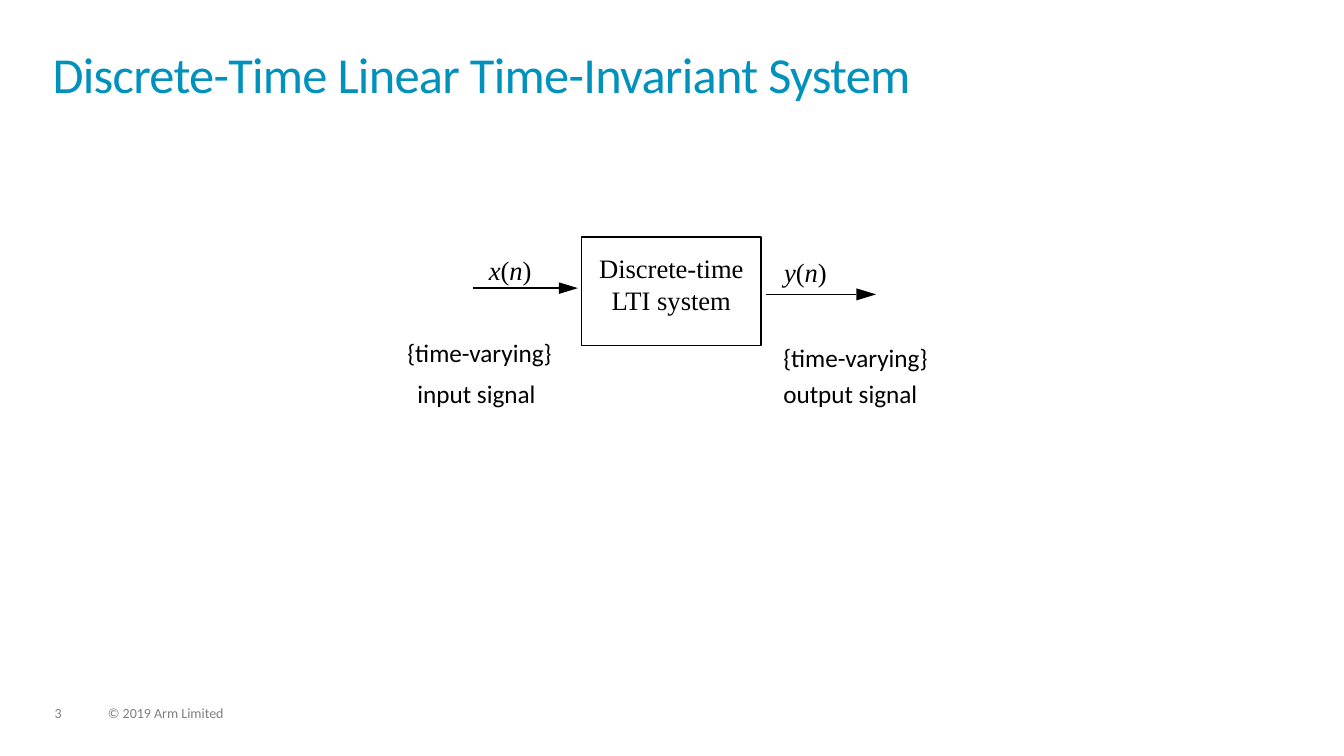
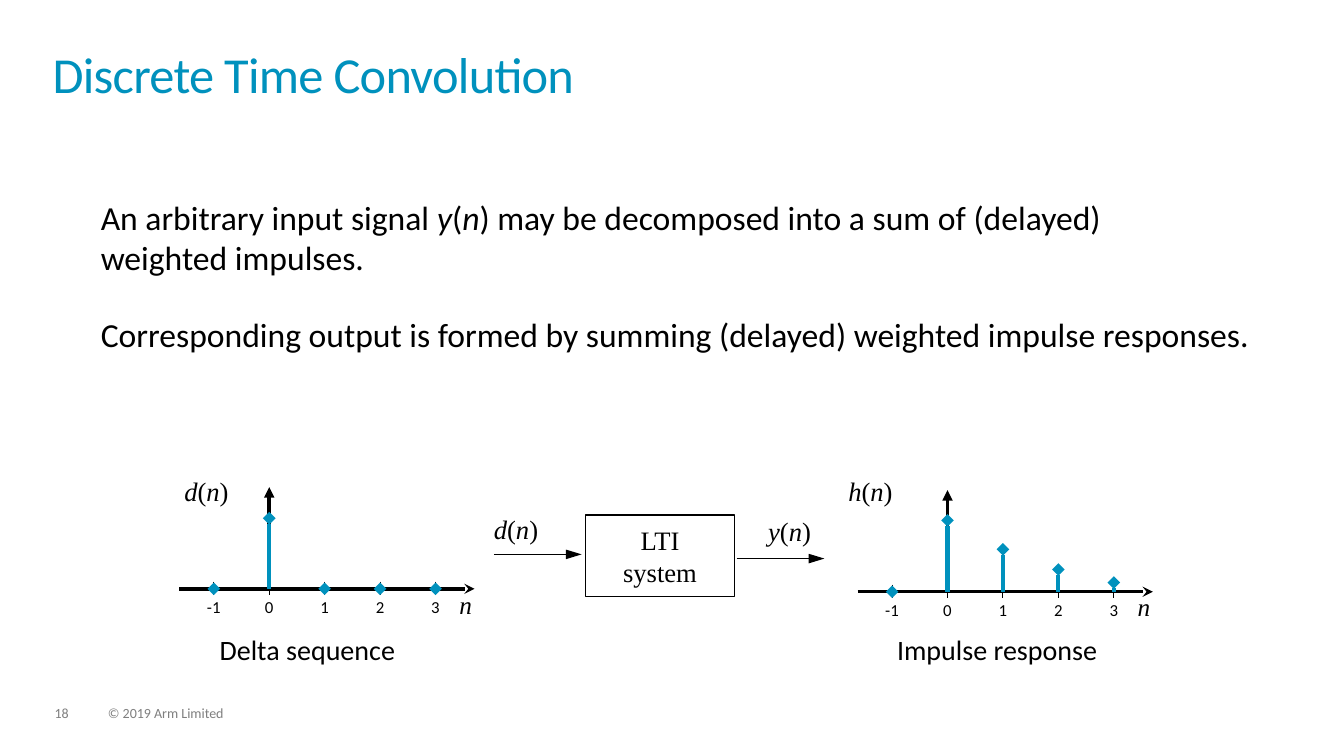
from dataclasses import dataclass

from lxml import etree
from pptx import Presentation, util as u
from pptx.dml.color import RGBColor
from pptx.enum import shapes, text
from pptx.oxml.ns import qn

# Shared look
TEAL = RGBColor(0x00, 0x91, 0xBD)
BLACK = RGBColor(0x00, 0x00, 0x00)
WHITE = RGBColor(0xFF, 0xFF, 0xFF)
GREY = RGBColor(0x7F, 0x7F, 0x7F)
SANS, SERIF = "Calibri", "Times New Roman"
COPYRIGHT = "© 2019 Arm Limited"

# All lengths below are in cells of a 32 by 18 grid of square cells
WIDTH, HEIGHT = u.Inches(13.33), u.Inches(7.5)
COLUMNS, ROWS = 32, 18


def col(cells: float) -> int:
    return round(WIDTH * cells / COLUMNS)


def row(cells: float) -> int:
    return round(HEIGHT * cells / ROWS)


@dataclass(frozen=True)
class Run:
    words: str
    italic: bool = False


@dataclass(frozen=True)
class Style:
    size: float
    font: str = SANS
    color: RGBColor = BLACK
    tracking: int = 0


@dataclass(frozen=True)
class Para:
    runs: tuple[Run, ...]
    spacing: float = 1.0
    after: float = 0
    align: text.PP_ALIGN = text.PP_ALIGN.LEFT


@dataclass(frozen=True)
class Caption:
    words: str
    left: float
    top: float


@dataclass(frozen=True)
class Flow:
    """An arrow with the name of the signal it carries."""
    signal: str
    left: float
    top: float
    length: float
    name_left: float
    name_top: float


@dataclass(frozen=True)
class System:
    lines: tuple[str, ...]
    left: float
    top: float
    width: float
    height: float
    padding: float


@dataclass(frozen=True)
class StemPlot:
    signal: str
    left: float
    axis: float
    name_left: float
    samples: tuple[float, ...]


TITLE = Style(36, color=TEAL, tracking=-50)
BODY = Style(24)
FOOTER = Style(10, color=GREY)
MATH = Style(19, SERIF)
AXIS_NAME = Style(18, SERIF)
TICK = Style(12)

# Stem plot measures
AXIS_LENGTH, AXIS_RISE = 7.03, 2.42
FIRST_TICK, TICK_STEP, FIRST_INDEX = 0.82, 1.32, -1
NAME_TOP = 11.3


# Text
def signal(name: str) -> tuple[Run, ...]:
    return Run(name, True), Run("("), Run("n", True), Run(")")


def write(frame, paras: list[Para], style: Style) -> None:
    frame.word_wrap = True
    frame.vertical_anchor = text.MSO_ANCHOR.TOP
    frame.margin_left = frame.margin_right = 0
    frame.margin_top = frame.margin_bottom = 0
    for index, item in enumerate(paras):
        para = frame.add_paragraph() if index else frame.paragraphs[0]
        para.alignment = item.align
        para.line_spacing = item.spacing
        para.space_after = u.Pt(item.after)
        for run in item.runs:
            span = para.add_run()
            span.text = run.words
            span.font.name = style.font
            span.font.size = u.Pt(style.size)
            span.font.color.rgb = style.color
            span.font.italic = run.italic
            if style.tracking:
                span._r.get_or_add_rPr().set("spc", str(style.tracking))


def add_text(page, left: float, top: float, paras: list[Para], style: Style,
             width: float = 5, height: float = 0.8) -> None:
    box = page.shapes.add_textbox(col(left), row(top), col(width), row(height))
    write(box.text_frame, paras, style)


def add_captions(page, captions: list[Caption], size: float) -> None:
    for item in captions:
        add_text(page, item.left, item.top, [Para((Run(item.words),))], Style(size))


# Lines and diagrams
def add_line(page, start: tuple[float, float], end: tuple[float, float],
             weight: float, color: RGBColor = BLACK, tip: str = "") -> None:
    line = page.shapes.add_connector(
        shapes.MSO_CONNECTOR.STRAIGHT,
        col(start[0]), row(start[1]), col(end[0]), row(end[1]))
    line.line.width = u.Pt(weight)
    line.line.color.rgb = color
    if tip:
        etree.SubElement(line.line._get_or_add_ln(), qn("a:tailEnd"), type=tip)
    etree.SubElement(line._element.spPr, qn("a:effectLst"))


def add_flow(page, flow: Flow) -> None:
    tip = flow.left + flow.length
    base = tip - 0.18 * flow.length
    half = 0.055 * flow.length
    add_line(page, (flow.left, flow.top), (base, flow.top), 1.13)
    outline = page.shapes.build_freeform(col(tip), row(flow.top))
    outline.add_line_segments([(col(base), row(flow.top + half)),
                               (col(base), row(flow.top - half))])
    head = outline.convert_to_shape()
    head.shadow.inherit = False
    head.fill.solid()
    head.fill.fore_color.rgb = BLACK
    head.line.fill.background()
    add_text(page, flow.name_left, flow.name_top, [Para(signal(flow.signal))],
             MATH, width=2)


def add_system(page, system: System) -> None:
    box = page.shapes.add_shape(
        shapes.MSO_SHAPE.RECTANGLE, col(system.left), row(system.top),
        col(system.width), row(system.height))
    box.shadow.inherit = False
    box.fill.solid()
    box.fill.fore_color.rgb = WHITE
    box.line.color.rgb = BLACK
    box.line.width = u.Pt(1.13)
    write(box.text_frame, [Para((Run(line),), align=text.PP_ALIGN.CENTER)
                           for line in system.lines], MATH)
    box.text_frame.margin_top = row(system.padding)


def add_stem_plot(page, plot: StemPlot) -> None:
    axis = plot.axis
    ticks = [plot.left + FIRST_TICK + TICK_STEP * step
             for step in range(len(plot.samples))]
    origin = ticks[-FIRST_INDEX]
    add_line(page, (origin, axis), (origin, axis - AXIS_RISE), 2.5, tip="triangle")
    add_line(page, (plot.left, axis), (plot.left + AXIS_LENGTH, axis), 2.5,
             tip="stealth")
    for index, (tick, sample) in enumerate(zip(ticks, plot.samples), FIRST_INDEX):
        add_line(page, (tick, axis - 0.17), (tick, axis + 0.14), 0.75)
        number = Para((Run(str(index)),), align=text.PP_ALIGN.CENTER)
        add_text(page, tick - 0.5, axis + 0.19, [number], TICK, width=1)
        # A zero sample keeps a short foot so that its marker shows
        foot = axis if sample else axis + 0.1
        add_line(page, (tick, foot), (tick, axis - sample), 3, TEAL, "diamond")
    add_text(page, plot.left + 6.67, axis, [Para((Run("n", True),))], AXIS_NAME,
             width=1)
    add_text(page, plot.name_left, NAME_TOP, [Para(signal(plot.signal))], MATH,
             width=2)


# Pages
def add_page(deck, title: str, number: int):
    page = deck.slides.add_slide(deck.slide_layouts[6])
    add_text(page, 1.25, 1.25, [Para((Run(title),), 0.85)], TITLE, 29.5, 1.73)
    for left, words in ((1.3, str(number)), (2.57, COPYRIGHT)):
        add_text(page, left, 16.82, [Para((Run(words),), 0.9, 6)], FOOTER,
                 height=0.36)
    return page


def add_system_page(deck) -> None:
    page = add_page(deck, "Discrete-Time Linear Time-Invariant System", 3)
    add_system(page, System(("Discrete-time", "LTI system"),
                            13.85, 5.64, 4.27, 2.59, 0.36))
    add_flow(page, Flow("x", 11.26, 6.86, 2.5, 11.64, 6.05))
    add_flow(page, Flow("y", 18.24, 7.01, 2.62, 18.67, 6.1))
    add_captions(page, [
        Caption("{time-varying}", 9.7, 8.02),
        Caption("input signal", 9.94, 9),
        Caption("{time-varying}", 18.65, 8.14),
        Caption("output signal", 18.65, 9),
    ], 18)


def add_convolution_page(deck) -> None:
    page = add_page(deck, "Discrete Time Convolution", 18)
    add_text(page, 2.4, 4.2, [
        Para((Run("An arbitrary input signal "), *signal("y"),
              Run(" may be decomposed into a sum of (delayed)")), 1.5),
        Para((Run("weighted impulses."),), after=12),
        Para((Run("Corresponding output is formed by summing (delayed) "
                  "weighted impulse responses."),), 1.5),
    ], BODY, 28.5, 4.87)
    add_system(page, System(("LTI", "system"), 13.94, 12.26, 3.55, 1.94, 0.22))
    add_flow(page, Flow("d", 11.76, 13.2, 2.09, 11.76, 12.22))
    add_flow(page, Flow("y", 17.54, 13.3, 2.09, 18.29, 12.26))
    add_stem_plot(page, StemPlot("d", 4.27, 14.02, 4.39, (0, 1.68, 0, 0, 0)))
    add_stem_plot(page, StemPlot("h", 20.42, 14.09, 20.2,
                                 (0, 1.7, 1.01, 0.53, 0.22)))
    add_captions(page, [Caption("Delta sequence", 5.23, 15.05),
                        Caption("Impulse response", 21.36, 15.05)], 20)


def main() -> None:
    deck = Presentation()
    deck.slide_width, deck.slide_height = WIDTH, HEIGHT
    add_system_page(deck)
    add_convolution_page(deck)
    deck.save("out.pptx")


if __name__ == "__main__":
    main()
